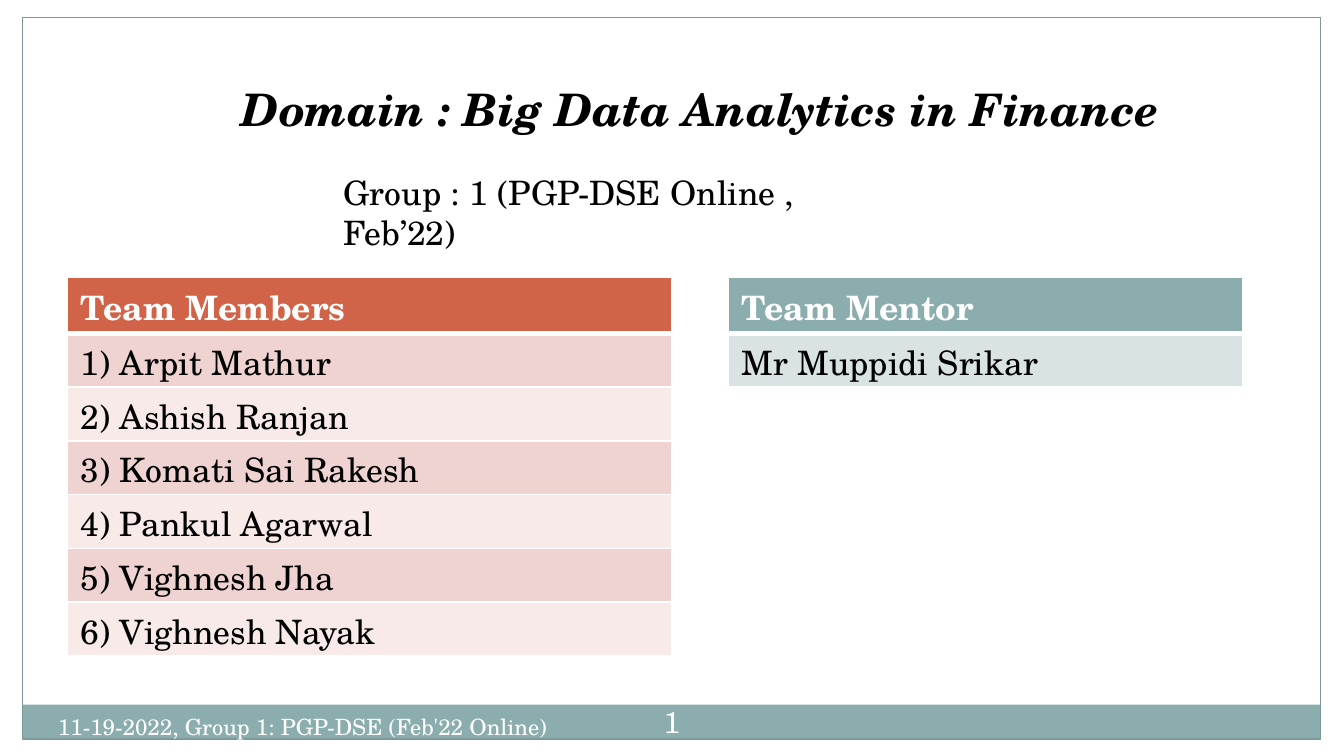
from lxml import etree
from pptx import Presentation
from pptx.dml.color import RGBColor
from pptx.enum.shapes import MSO_SHAPE
from pptx.enum.text import MSO_ANCHOR, MSO_AUTO_SIZE, PP_ALIGN
from pptx.oxml.ns import qn
from pptx.util import Pt

RECTANGLE = MSO_SHAPE.RECTANGLE
TOP, MIDDLE = MSO_ANCHOR.TOP, MSO_ANCHOR.MIDDLE
LEFT, CENTER = PP_ALIGN.LEFT, PP_ALIGN.CENTER
NO_AUTOFIT = MSO_AUTO_SIZE.NONE

FONT = "TeX Gyre Schola"
BLACK, WHITE, TEAL, RED = "000000", "FFFFFF", "8CADAE", "D16349"
FRAME_LINE = "7C999A"
RED_BANDS = ["EED3D0", "F7EAE9"]
TEAL_BANDS = ["DAE3E3"]
ROW_HEIGHT = 28.8

MEMBERS = [
    "Arpit Mathur",
    "Ashish Ranjan",
    "Komati Sai Rakesh",
    "Pankul Agarwal",
    "Vighnesh Jha",
    "Vighnesh Nayak",
]


def color(hex_code):
    return RGBColor.from_string(hex_code)


def points(box):
    return [Pt(length) for length in box]


def write(frame, words, size, ink, align=LEFT, **font_format):
    """Put one formatted paragraph into a text frame."""
    paragraph = frame.paragraphs[0]
    paragraph.alignment = align
    paragraph.space_before = Pt(0)
    run = paragraph.add_run()
    run.text = words
    values = {"name": FONT, "size": Pt(size), "bold": False, **font_format}
    for attribute, value in values.items():
        setattr(run.font, attribute, value)
    run.font.color.rgb = color(ink)


def set_frame(frame, anchor=TOP, inset_x=7.2, inset_y=3.6):
    values = {
        "word_wrap": True,
        "auto_size": NO_AUTOFIT,
        "vertical_anchor": anchor,
        "margin_left": Pt(inset_x),
        "margin_right": Pt(inset_x),
        "margin_top": Pt(inset_y),
        "margin_bottom": Pt(inset_y),
    }
    for attribute, value in values.items():
        setattr(frame, attribute, value)


def fill_placeholder(placeholder, box, words, size, **text_format):
    sides = ("left", "top", "width", "height")
    for side, length in zip(sides, points(box)):
        setattr(placeholder, side, length)
    set_frame(placeholder.text_frame)
    write(placeholder.text_frame, words, size, BLACK, **text_format)


def add_label(slide, box, words, size, align=LEFT, **frame_format):
    label = slide.shapes.add_textbox(*points(box))
    set_frame(label.text_frame, **frame_format)
    write(label.text_frame, words, size, WHITE, align)


def add_backdrop(slide, box):
    """Draw the thin page frame with the coloured band along its foot."""
    left, top, width, height = box
    band_height = 18
    band_box = (left, top + height - band_height - 0.5, width, band_height)
    band = slide.shapes.add_shape(RECTANGLE, *points(band_box))
    band.fill.solid()
    band.fill.fore_color.rgb = color(TEAL)
    band.line.fill.background()

    border = slide.shapes.add_shape(RECTANGLE, *points(box))
    border.fill.background()
    border.line.color.rgb = color(FRAME_LINE)
    border.line.width = Pt(0.75)
    for shape in (band, border):
        shape.shadow.inherit = False


def add_border(cell, side, width):
    properties = cell._tc.get_or_add_tcPr()
    line = etree.SubElement(properties, qn(f"a:ln{side}"), w=str(Pt(width)))
    solid = etree.SubElement(line, qn("a:solidFill"))
    etree.SubElement(solid, qn("a:srgbClr"), val=WHITE)


def add_people_table(slide, box, heading, people, heading_fill, bands):
    rows = [heading, *people]
    table = slide.shapes.add_table(len(rows), 1, *points(box)).table
    for index, words in enumerate(rows):
        is_heading = index == 0
        table.rows[index].height = Pt(ROW_HEIGHT)
        cell = table.cell(index, 0)
        # Tight margins keep each row from growing past ROW_HEIGHT.
        cell.margin_top, cell.margin_bottom = Pt(2.2), Pt(0)
        widths = {
            "L": 1,
            "R": 1,
            "T": 3 if index == 1 else 1,
            "B": 3 if is_heading else 1,
        }
        for side, width in widths.items():
            add_border(cell, side, width)
        fill = heading_fill if is_heading else bands[(index - 1) % len(bands)]
        cell.fill.solid()
        cell.fill.fore_color.rgb = color(fill)
        ink = WHITE if is_heading else BLACK
        write(cell.text_frame, words, 18, ink, bold=is_heading)


def build_team_slide(presentation):
    slide = presentation.slides.add_slide(presentation.slide_layouts[0])
    title, group = slide.placeholders
    add_backdrop(slide, (12, 9.5, 695.5, 386.5))
    add_label(slide, (336, 373.5, 48, 26), "1", 16, CENTER,
              anchor=MIDDLE, inset_x=3.6)
    fill_placeholder(title, (72, 40, 606, 36),
                     "Domain : Big Data Analytics in Finance", 24,
                     align=CENTER, bold=True, italic=True)
    fill_placeholder(group, (177, 88.5, 315.5, 29),
                     "Group : 1 (PGP-DSE Online , Feb’22)", 18)

    numbered = [f"{number}) {name}" for number, name in enumerate(MEMBERS, 1)]
    add_people_table(slide, (36, 148.5, 324, 7 * ROW_HEIGHT),
                     "Team Members", numbered, RED, RED_BANDS)
    add_people_table(slide, (390, 148.5, 276, 2 * ROW_HEIGHT),
                     "Team Mentor", ["Mr Muppidi Srikar"], TEAL, TEAL_BANDS)
    add_label(slide, (24, 378.5, 282, 21.5),
              "11-19-2022, Group 1: PGP-DSE (Feb'22 Online)", 12)


def main():
    presentation = Presentation()
    presentation.slide_width, presentation.slide_height = Pt(720), Pt(405)
    build_team_slide(presentation)
    presentation.save("out.pptx")


if __name__ == "__main__":
    main()
